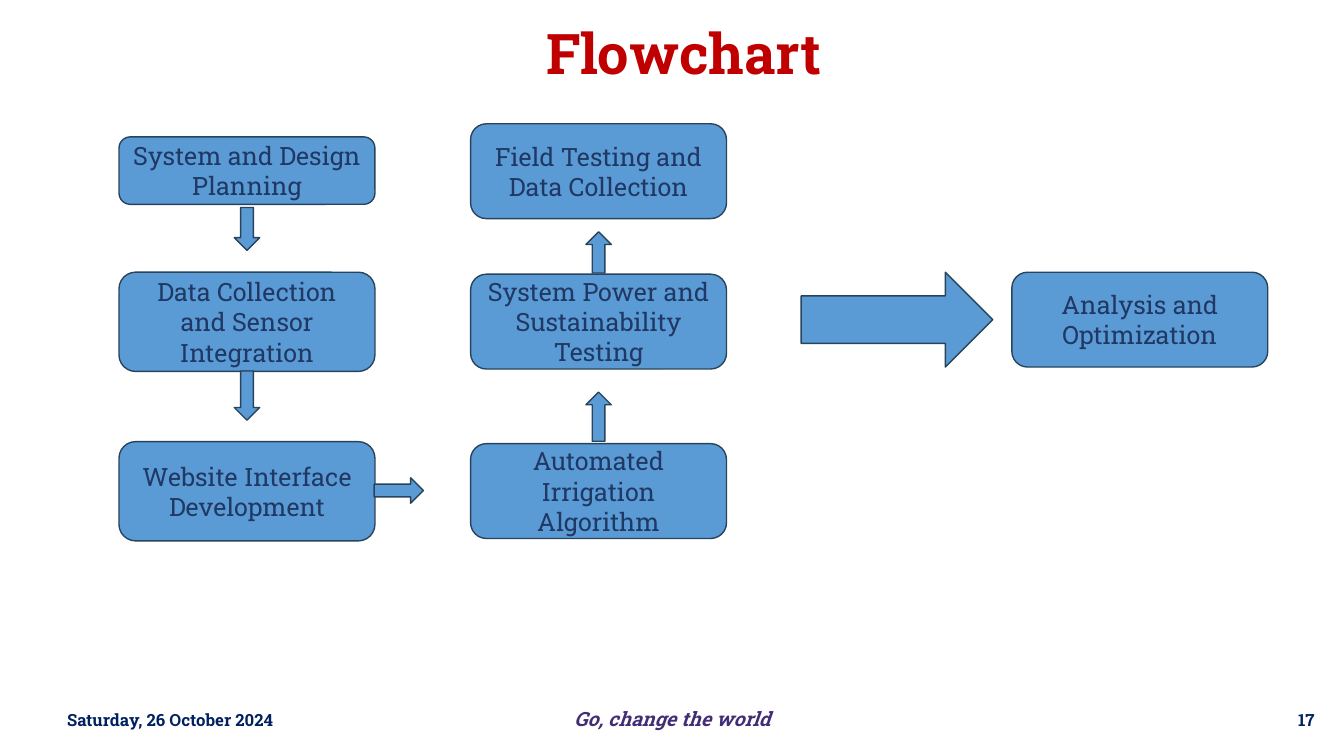
import pptx
import pptx.util
import pptx.dml.color
import pptx.enum.dml
import pptx.enum.shapes
import pptx.enum.text

Cm = pptx.util.Cm
Pt = pptx.util.Pt
RGBColor = pptx.dml.color.RGBColor
Shape = pptx.enum.shapes.MSO_SHAPE
Align = pptx.enum.text.PP_ALIGN
Anchor = pptx.enum.text.MSO_ANCHOR

WHITE = RGBColor(0xFF, 0xFF, 0xFF)
RED = RGBColor(0xC0, 0x00, 0x00)
BLUE = RGBColor(0x5B, 0x9B, 0xD5)
OUTLINE = RGBColor(0x28, 0x44, 0x5D)
STEP_TEXT = RGBColor(0x20, 0x38, 0x64)
NAVY = RGBColor(0x00, 0x20, 0x60)
PURPLE = RGBColor(0x42, 0x2C, 0x75)

STEP_WIDTH = 6.45
ARROW_WIDTH = 0.64
LEFT_COLUMN, MIDDLE_COLUMN, RIGHT_COLUMN = 3.0, 11.86, 25.5


class FlowchartSlide:
    font_name = "Roboto Slab"

    def __init__(self, deck):
        self.page = deck.slides.add_slide(deck.slide_layouts[5])

    def put_text(self, box, text, size, color, align=Align.CENTER,
                 anchor=Anchor.MIDDLE, **style):
        frame = box.text_frame
        frame.word_wrap = True
        frame.auto_size = pptx.enum.text.MSO_AUTO_SIZE.NONE
        frame.vertical_anchor = anchor
        para = frame.paragraphs[0]
        para.alignment = align
        span = para.add_run()
        span.text = text
        formats = {"name": self.font_name, "size": Pt(size), **style}
        for name, value in formats.items():
            setattr(span.font, name, value)
        span.font.color.rgb = color

    def paint(self, shape, fill, line, width):
        shape.fill.solid()
        shape.fill.fore_color.rgb = fill
        shape.line.color.rgb = line
        shape.line.width = Pt(width)

    def title(self, text, left, top, width, height):
        box = self.page.shapes.title
        place = {"left": left, "top": top, "width": width, "height": height}
        for name, value in place.items():
            setattr(box, name, Cm(value))
        self.paint(box, WHITE, WHITE, 0.25)
        box.line.dash_style = pptx.enum.dml.MSO_LINE.SQUARE_DOT
        self.put_text(box, text, 40, RED, bold=True)

    def block(self, kind, left, top, width, height):
        shape = self.page.shapes.add_shape(
            kind, Cm(left), Cm(top), Cm(width), Cm(height))
        shape.shadow.inherit = False
        self.paint(shape, BLUE, OUTLINE, 1)
        return shape

    def step(self, text, left, top, height):
        box = self.block(Shape.FLOWCHART_ALTERNATE_PROCESS,
                         left, top, STEP_WIDTH, height)
        self.put_text(box, text, 18, STEP_TEXT)

    def arrow(self, center, top, length, rotation=0):
        shape = self.block(Shape.DOWN_ARROW, center - ARROW_WIDTH / 2,
                           top, ARROW_WIDTH, length)
        shape.rotation = rotation

    def label(self, text, left, top, width, height, size, color,
              margins=None, **style):
        box = self.page.shapes.add_textbox(
            Cm(left), Cm(top), Cm(width), Cm(height))
        for name, value in (margins or {}).items():
            setattr(box.text_frame, name, Cm(value))
        self.put_text(box, text, size, color, bold=True, **style)


def main():
    deck = pptx.Presentation()
    deck.slide_width, deck.slide_height = Cm(33.87), Cm(19.05)
    slide = FlowchartSlide(deck)
    slide.title("Flowchart", 5.92, 0.15, 22.63, 2.34)

    # Process steps
    for text, left, top, height in (
        ("System and Design Planning", LEFT_COLUMN, 3.45, 1.7),
        ("Data Collection and Sensor Integration", LEFT_COLUMN, 6.86, 2.5),
        ("Website Interface Development", LEFT_COLUMN, 11.13, 2.5),
        ("Automated Irrigation Algorithm", MIDDLE_COLUMN, 11.18, 2.39),
        ("System Power and Sustainability Testing", MIDDLE_COLUMN, 6.91, 2.39),
        ("Field Testing and Data Collection", MIDDLE_COLUMN, 3.12, 2.39),
        ("Analysis and Optimization", RIGHT_COLUMN, 6.86, 2.39),
    ):
        slide.step(text, left, top, height)

    # Arrows: down the left column, across, up the middle column
    left_center = LEFT_COLUMN + STEP_WIDTH / 2
    middle_center = MIDDLE_COLUMN + STEP_WIDTH / 2
    slide.arrow(left_center, 5.23, 1.08)
    slide.arrow(left_center, 9.35, 1.24)
    slide.arrow(10.05, 11.74, 1.24, rotation=270)
    slide.arrow(middle_center, 9.88, 1.24, rotation=180)
    slide.arrow(middle_center, 5.84, 1.04, rotation=180)
    slide.block(Shape.RIGHT_ARROW, 20.19, 6.86, 4.83, 2.39)

    # Footer
    slide.label("Saturday, 26 October 2024", 0.48, 17.63, 7.62, 1.02, 12, NAVY)
    slide.label("Go, change the world", 14.05, 17.78, 5.79, 0.61, 14, PURPLE,
                margins={"margin_left": 0, "margin_top": 0.03,
                         "margin_right": 0, "margin_bottom": 0},
                anchor=Anchor.TOP, italic=True)
    slide.label("17", 25.76, 17.63, 7.62, 1.02, 12, NAVY, align=Align.RIGHT)

    deck.save("out.pptx")


if __name__ == "__main__":
    main()
